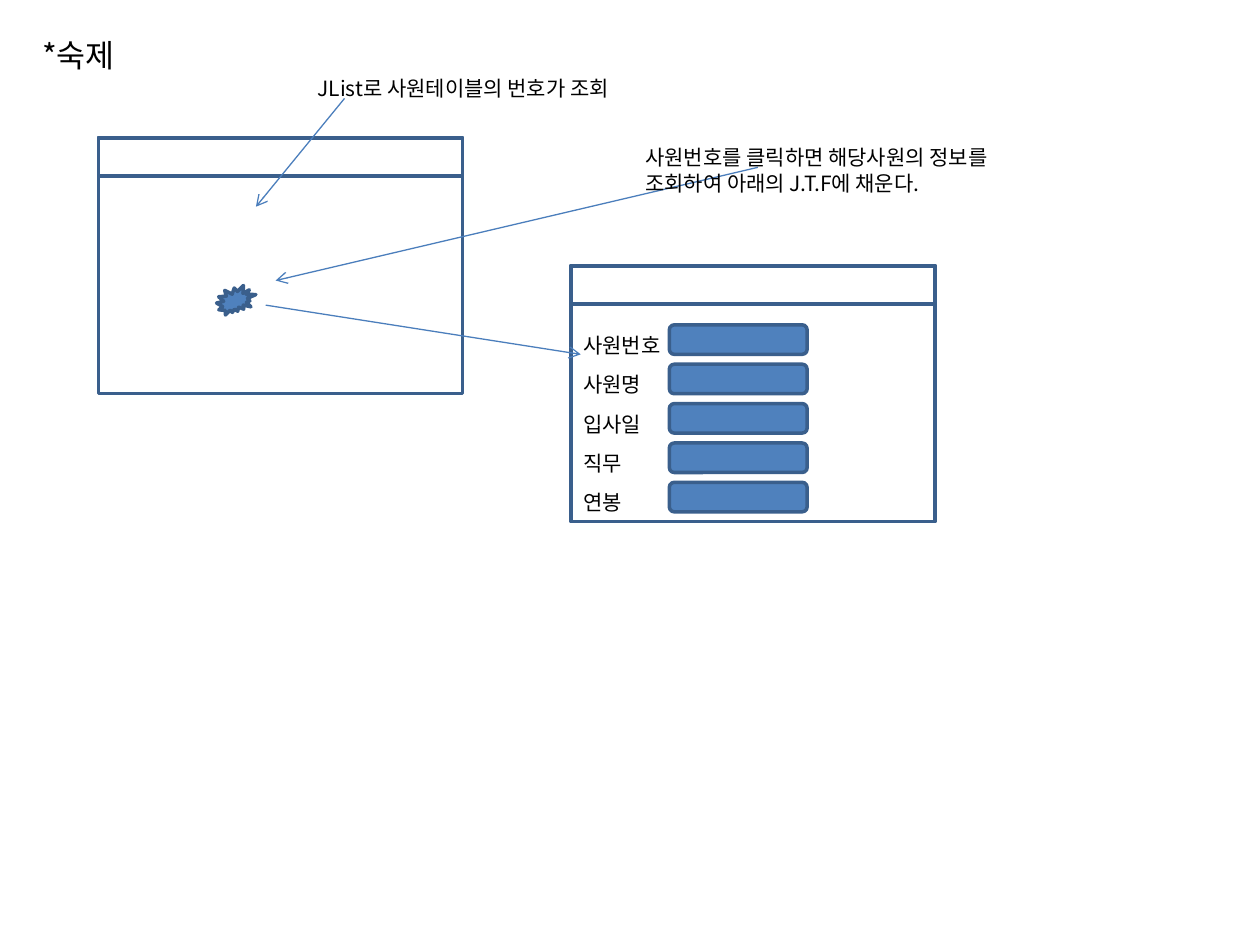
from lxml import etree
from pptx import Presentation, util as u
from pptx.dml.color import RGBColor
from pptx.enum import shapes, text
from pptx.oxml.ns import qn

FONT = "Noto Sans CJK KR"
FILL, EDGE, ARROW, INK = "4F81BD", "3A5F8C", "4B7EBC", "000000"

prs = Presentation()
prs.slide_width, prs.slide_height = u.Inches(10), u.Inches(7.5)
slide = prs.slides.add_slide(prs.slide_layouts[5])
unit = prs.slide_width / 128  # square grid, 128 columns by 96 rows


def grid(*cells):
    return [u.Emu(round(c * unit)) for c in cells]


def write(s, lines, size):
    tf = s.text_frame
    tf.text = lines
    tf.word_wrap = False
    tf.auto_size = text.MSO_AUTO_SIZE.SHAPE_TO_FIT_TEXT
    tf.vertical_anchor = text.MSO_ANCHOR.TOP
    for p in tf.paragraphs:
        p.alignment = text.PP_ALIGN.LEFT
        for r in p.runs:
            r.font.size, r.font.name = u.Pt(size), FONT
            r.font.color.rgb = RGBColor.from_string(INK)
            etree.SubElement(r.font._element, qn("a:ea"), typeface=FONT)


# Title
title = slide.shapes.title
title.left, title.top, title.width, title.height = grid(3, 3, 10.4, 5.15)
write(title, "*숙제", 18)

# Windows with title bars, click mark and input fields
RECT, ROUND = shapes.MSO_SHAPE.RECTANGLE, shapes.MSO_SHAPE.ROUNDED_RECTANGLE
boxes = [(RECT, x, y, 37, h, None)
         for x, y in ((10, 14), (58, 27)) for h in (26, 3.9)]
boxes.append((shapes.MSO_SHAPE.EXPLOSION2, 22, 29, 4, 3, FILL))
boxes += [(ROUND, 68, 33 + 4 * i, 14, 3, FILL) for i in range(5)]
for kind, x, y, w, h, fill in boxes:
    s = slide.shapes.add_shape(kind, *grid(x, y, w, h))
    s.shadow.inherit = False
    if fill:
        s.fill.solid()
        s.fill.fore_color.rgb = RGBColor.from_string(fill)
    else:
        s.fill.background()
    s.line.color.rgb = RGBColor.from_string(EDGE)
    s.line.width = u.Pt(2)

# Arrows
for ends in ((35, 10, 26, 21), (27, 31, 59, 36), (77, 17, 28, 28.5)):
    s = slide.shapes.add_connector(shapes.MSO_CONNECTOR.STRAIGHT, *grid(*ends))
    s.line.color.rgb = RGBColor.from_string(ARROW)
    s.line.width = u.Pt(0.75)
    etree.SubElement(s.line._get_or_add_ln(), qn("a:tailEnd"), type="arrow")
    etree.SubElement(s._element.spPr, qn("a:effectLst"))

# Notes and field labels
notes = [
    ("JList로 사원테이블의 번호가 조회", 31, 7, 34.8, 3.9),
    ("사원번호를 클릭하면 해당사원의 정보를\n조회하여 아래의 J.T.F에 채운다.", 64.3, 14.1, 42.2, 6.45),
]
labels = [("사원번호", 11.3), ("사원명", 9.1), ("입사일", 9.1), ("직무", 6.9), ("연봉", 6.9)]
notes += [(label, 58, 33.15 + 4 * i, w, 3.9) for i, (label, w) in enumerate(labels)]
for lines, *cells in notes:
    write(slide.shapes.add_textbox(*grid(*cells)), lines, 12)

prs.save("out.pptx")
